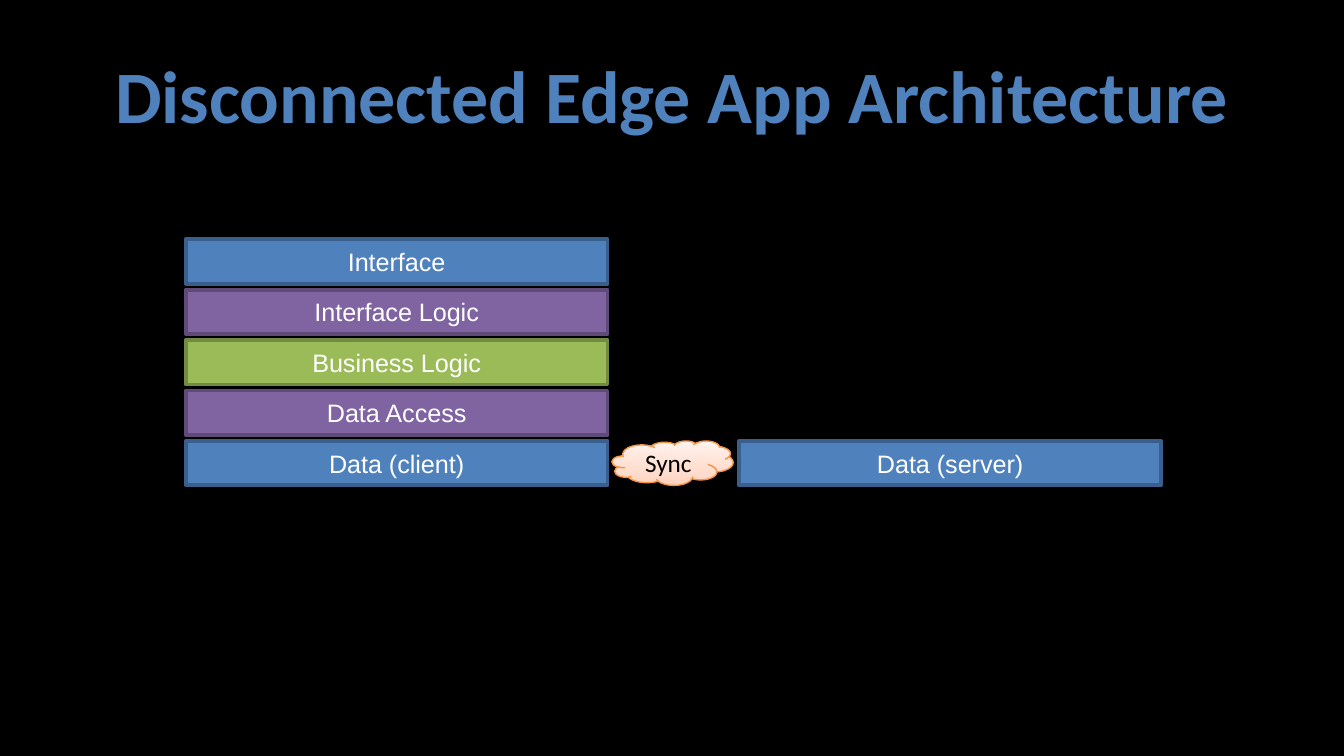
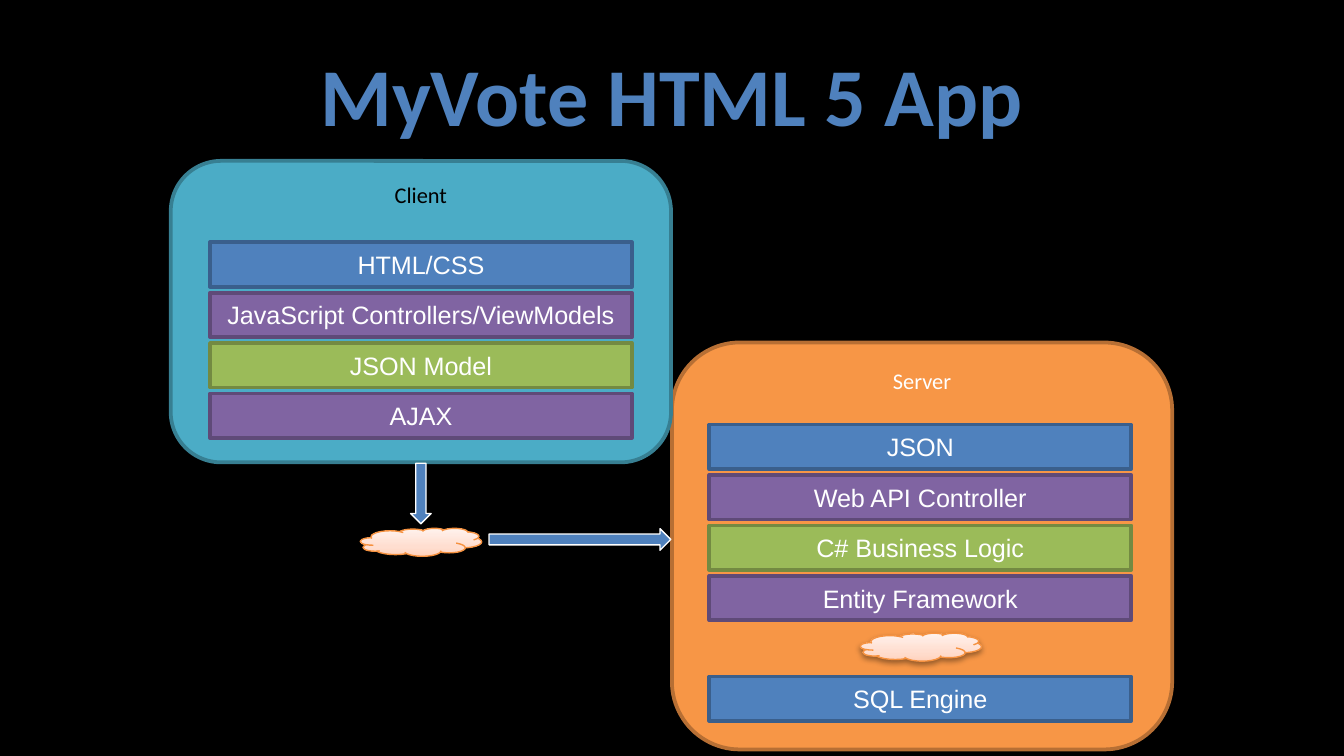
"""Build two slides on layered application architecture."""
from copy import deepcopy
from dataclasses import dataclass

from lxml import etree
from pptx import Presentation
from pptx.dml.color import RGBColor
from pptx.enum.shapes import MSO_SHAPE
from pptx.enum.text import MSO_ANCHOR, MSO_AUTO_SIZE, PP_ALIGN
from pptx.oxml.ns import qn
from pptx.presentation import Presentation as Deck
from pptx.shapes.autoshape import Shape
from pptx.slide import Slide
from pptx.text.text import TextFrame
from pptx.util import Pt

RECTANGLE = MSO_SHAPE.RECTANGLE
ROUNDED = MSO_SHAPE.ROUNDED_RECTANGLE
CLOUD = MSO_SHAPE.CLOUD
DOWN_ARROW = MSO_SHAPE.DOWN_ARROW
RIGHT_ARROW = MSO_SHAPE.RIGHT_ARROW
MIDDLE = MSO_ANCHOR.MIDDLE
TOP = MSO_ANCHOR.TOP
CENTER = PP_ALIGN.CENTER
NO_AUTOFIT = MSO_AUTO_SIZE.NONE

BLACK, WHITE, BLUE = "000000", "FFFFFF", "4F81BD"
HEADING_FONT, LABEL_FONT = "Calibri", "Arial"
TITLE_ONLY = 5
BAR_WIDTH, BAR_HEIGHT, BAR_PITCH = 226, 23.8, 27
CLOUD_WIDTH = 65
CLOUD_STOPS = ((0, "FFD2BD"), (0.35, "FFDED0"), (1, "FFF2ED"))


@dataclass(frozen=True)
class Box:
    """Place of a shape, in points."""

    left: float
    top: float
    width: float
    height: float


@dataclass(frozen=True)
class Look:
    """Fill, outline and outline width of a shape."""

    fill: str
    line: str
    line_width: float = 2


@dataclass(frozen=True)
class Layer:
    """One bar in a stack, placed by its row."""

    row: int
    text: str
    look: Look


@dataclass(frozen=True)
class Panel:
    """A rounded tier with its caption."""

    box: Box
    caption: str
    text_color: str
    look: Look


DATA = Look(BLUE, "3A5F8C")
ADAPTER = Look("8064A2", "5F4A78")
BUSINESS = Look("9BBB59", "738A42")
ARROW = Look(BLUE, WHITE, 0.75)
CLOUD_LOOK = Look("FFDED0", "F69240", 0.75)

EDGE_LAYERS = (
    Layer(0, "Interface", DATA),
    Layer(1, "Interface Logic", ADAPTER),
    Layer(2, "Business Logic", BUSINESS),
    Layer(3, "Data Access", ADAPTER),
    Layer(4, "Data (client)", DATA),
)
REMOTE_LAYERS = (Layer(4, "Data (server)", DATA),)
CLIENT_LAYERS = (
    Layer(0, "HTML/CSS", DATA),
    Layer(1, "JavaScript Controllers/ViewModels", ADAPTER),
    Layer(2, "JSON Model", BUSINESS),
    Layer(3, "AJAX", ADAPTER),
)
SERVER_LAYERS = (
    Layer(0, "JSON", DATA),
    Layer(1, "Web API Controller", ADAPTER),
    Layer(2, "C# Business Logic", BUSINESS),
    Layer(3, "Entity Framework", ADAPTER),
    Layer(5, "SQL Engine", DATA),
)
PANELS = (
    Panel(Box(360, 183.5, 268, 218), "Server", WHITE, Look("F79646", "B76F34")),
    Panel(Box(91.5, 86.2, 268, 161.5), "Client", BLACK, Look("4BACC6", "377F92")),
)


def color(value: str) -> RGBColor:
    """Turn a hex string into a colour."""
    return RGBColor.from_string(value)


def write(frame: TextFrame, text: str, font: str, size: float, text_color: str,
          bold: bool = False) -> None:
    """Write one centred run into the first paragraph of a frame."""
    paragraph = frame.paragraphs[0]
    paragraph.alignment = CENTER
    run = paragraph.add_run()
    run.text = text
    run.font.name = font
    run.font.size = Pt(size)
    run.font.bold = bold
    run.font.color.rgb = color(text_color)


def set_insets(frame: TextFrame, horizontal: float, vertical: float) -> None:
    """Set the side and the top and bottom margins of a frame."""
    frame.margin_left = frame.margin_right = Pt(horizontal)
    frame.margin_top = frame.margin_bottom = Pt(vertical)


def add_shape(slide: Slide, kind: MSO_SHAPE, box: Box, look: Look) -> Shape:
    """Add a flat preset shape."""
    shape = slide.shapes.add_shape(
        kind, Pt(box.left), Pt(box.top), Pt(box.width), Pt(box.height))
    shape.shadow.inherit = False
    shape.fill.solid()
    shape.fill.fore_color.rgb = color(look.fill)
    shape.line.color.rgb = color(look.line)
    shape.line.width = Pt(look.line_width)
    return shape


def add_layers(slide: Slide, left: float, top: float, layers: tuple[Layer, ...]) -> None:
    """Stack labelled bars at an equal pitch."""
    for layer in layers:
        box = Box(left, top + layer.row * BAR_PITCH, BAR_WIDTH, BAR_HEIGHT)
        frame = add_shape(slide, RECTANGLE, box, layer.look).text_frame
        frame.word_wrap = False
        frame.vertical_anchor = MIDDLE
        set_insets(frame, 4.5, 2.25)
        write(frame, layer.text, LABEL_FONT, 13.5, WHITE)


def add_panel(slide: Slide, panel: Panel) -> None:
    """Add a rounded tier with its caption at the top."""
    frame = add_shape(slide, ROUNDED, panel.box, panel.look).text_frame
    frame.word_wrap = True
    frame.vertical_anchor = TOP
    set_insets(frame, 5.4, 2.7)
    write(frame, panel.caption, HEADING_FONT, 12, panel.text_color)


def add_cloud(slide: Slide, left: float, top: float, height: float) -> Shape:
    """Add a cloud with a three-stop gradient and a soft shadow."""
    shape = add_shape(slide, CLOUD, Box(left, top, CLOUD_WIDTH, height), CLOUD_LOOK)
    shape.fill.gradient()
    shape.fill.gradient_angle = 90
    properties = shape._element.spPr
    stop_list = properties.find(".//" + qn("a:gsLst"))
    stop_list.insert(1, deepcopy(stop_list[0]))
    for stop, (position, value) in zip(shape.fill.gradient_stops, CLOUD_STOPS):
        stop.position = position
        stop.color.rgb = color(value)
    effects = properties.find(qn("a:effectLst"))
    shadow = etree.SubElement(
        effects, qn("a:outerShdw"), blurRad=str(Pt(3.1)), dist=str(Pt(1.6)),
        dir="5400000", rotWithShape="0")
    shadow_color = etree.SubElement(shadow, qn("a:srgbClr"), val=BLACK)
    etree.SubElement(shadow_color, qn("a:alpha"), val="38000")
    return shape


def add_titled_slide(presentation: Deck, title: str, size: float) -> Slide:
    """Add a slide with the shared title style."""
    slide = presentation.slides.add_slide(presentation.slide_layouts[TITLE_ONLY])
    shape = slide.shapes.title
    shape.left, shape.top, shape.width, shape.height = Pt(36), Pt(16.5), Pt(648), Pt(67.5)
    frame = shape.text_frame
    frame.word_wrap = True
    frame.auto_size = NO_AUTOFIT
    frame.vertical_anchor = MIDDLE
    write(frame, title, HEADING_FONT, size, BLUE, bold=True)
    return slide


def build_edge_slide(presentation: Deck) -> None:
    """Draw the client stack synchronised with the server data."""
    slide = add_titled_slide(presentation, "Disconnected Edge App Architecture", 39.6)
    add_layers(slide, 99.5, 128.2, EDGE_LAYERS)
    add_layers(slide, 396, 128.2, REMOTE_LAYERS)
    frame = add_cloud(slide, 327.8, 236.2, BAR_HEIGHT).text_frame
    frame.word_wrap = True
    frame.vertical_anchor = MIDDLE
    write(frame, "Sync", HEADING_FONT, 13.5, BLACK)


def build_web_slide(presentation: Deck) -> None:
    """Draw the client and server tiers joined through the network."""
    slide = add_titled_slide(presentation, "MyVote HTML 5 App", 44)
    for panel in PANELS:
        add_panel(slide, panel)
    add_layers(slide, 112.5, 129.8, CLIENT_LAYERS)
    add_layers(slide, 380, 227.5, SERVER_LAYERS)
    add_cloud(slide, 193, 283, 15)
    add_cloud(slide, 460.8, 339.2, 15)
    add_shape(slide, DOWN_ARROW, Box(220, 248.2, 11, 32.4), ARROW)
    add_shape(slide, RIGHT_ARROW, Box(262, 283.2, 97.4, 11.6), ARROW)


def main() -> None:
    """Build and save the presentation."""
    presentation = Presentation()
    presentation.slide_width, presentation.slide_height = Pt(720), Pt(405)
    background = presentation.slide_master.background.fill
    background.solid()
    background.fore_color.rgb = color(BLACK)
    build_edge_slide(presentation)
    build_web_slide(presentation)
    presentation.save("out.pptx")


if __name__ == "__main__":
    main()
